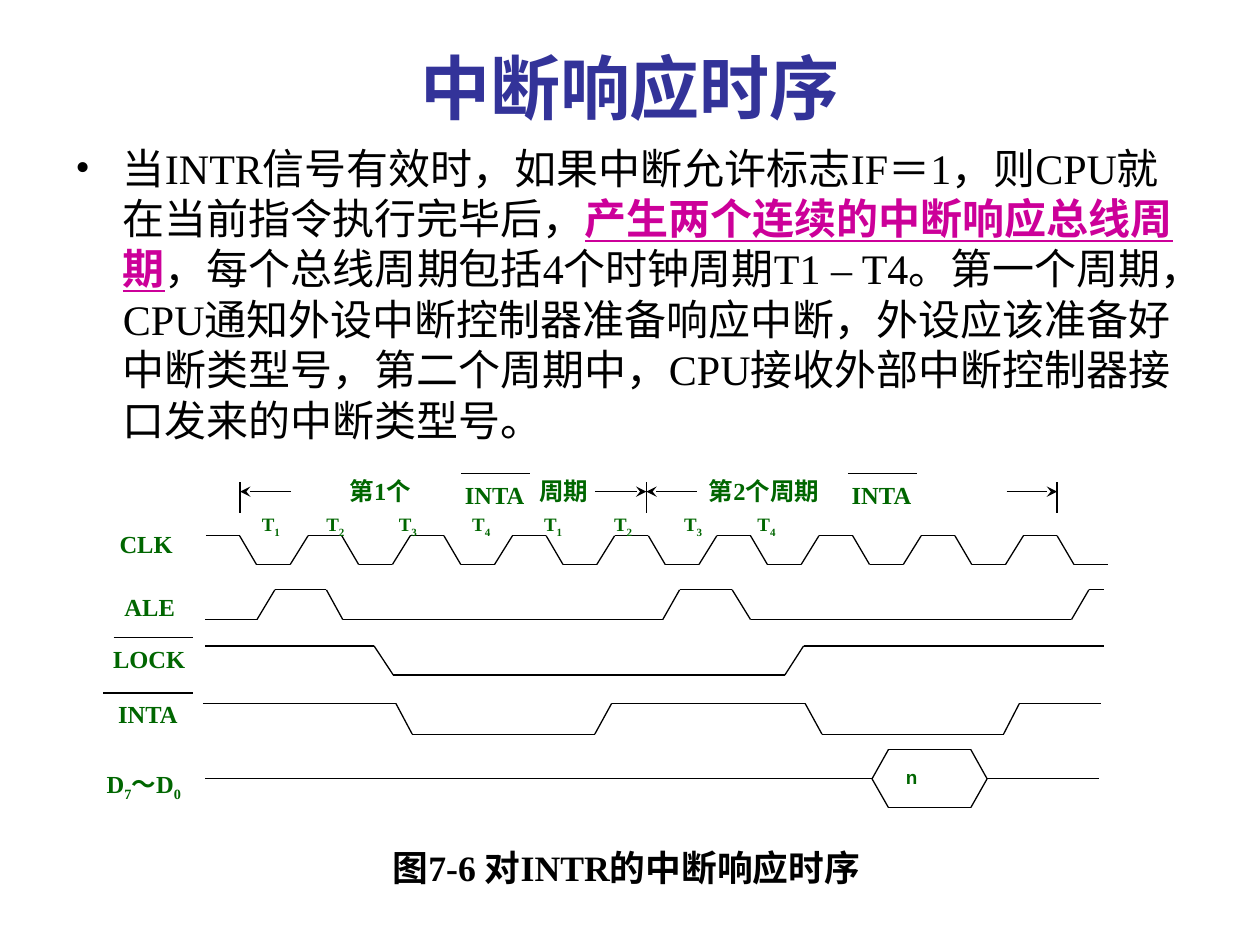
from itertools import pairwise
from pptx import Presentation
from pptx.dml.color import RGBColor
from pptx.enum.shapes import MSO_CONNECTOR
from pptx.enum.text import MSO_ANCHOR, PP_ALIGN
from pptx.oxml.ns import qn
from pptx.util import Cm, Pt
from lxml.etree import SubElement

HUES = {"ink": "000000", "title": "333399", "key": "CC0099", "label": "006600"}


def write(par, text, size=14, hue="label", bold=True, font="Times New Roman",
          under=False, sub=False):
    run = par.add_run()
    run.text = text
    run.font.size = Pt(size)
    run.font.name = font
    run.font.bold = bold
    run.font.underline = under
    run.font.color.rgb = RGBColor.from_string(HUES[hue])
    if sub:
        run.font._element.set("baseline", "-25000")


class Sheet:
    def __init__(self, deck):
        self.slide = deck.slides.add_slide(deck.slide_layouts[6])
        self.font = "Times New Roman"
        self.width = Pt(0.75)

    def box(self, x, y, w, h, align=PP_ALIGN.LEFT, space=None, hang=0,
            bullet=None, anchor=MSO_ANCHOR.TOP):
        """Add a text box and return its empty first paragraph."""
        frame = self.slide.shapes.add_textbox(Cm(x), Cm(y), Cm(w), Cm(h)).text_frame
        frame.word_wrap = True
        frame.vertical_anchor = anchor
        par = frame.paragraphs[0]
        par.alignment = align
        if space:
            par.line_spacing = space
        if bullet:
            props = par._p.get_or_add_pPr()
            props.set("marL", str(Cm(hang)))
            props.set("indent", str(Cm(-hang)))
            SubElement(props, qn("a:buFont"), typeface=self.font)
            SubElement(props, qn("a:buChar"), char=bullet)
        return par

    def label(self, text, x, y, w=2.97, h=1.17):
        write(self.box(x, y, w, h), text)

    def line(self, start, end, arrow=False):
        link = self.slide.shapes.add_connector(
            MSO_CONNECTOR.STRAIGHT, *(Cm(v) for v in (*start, *end)))
        link.line.width = self.width
        link.line.color.rgb = RGBColor.from_string(HUES["ink"])
        if arrow:
            SubElement(link.line._get_or_add_ln(), qn("a:tailEnd"), type="stealth")
        SubElement(link._element.spPr, qn("a:effectLst"))

    def chain(self, points):
        for start, end in pairwise(points):
            self.line(start, end)

    def wave(self, xs, levels):
        """Draw a signal that changes level after every second x."""
        self.chain([(x, levels[i // 2 % 2]) for i, x in enumerate(xs)])


def prose(sheet):
    par = sheet.box(1.27, 0.76, 22.86, 1.98, align=PP_ALIGN.CENTER,
                    anchor=MSO_ANCHOR.MIDDLE)
    write(par, "中断响应时序", size=40, hue="title")
    par = sheet.box(1.27, 2.74, 22.86, 8, hang=0.96, bullet="•")
    plain = {"size": 24, "hue": "ink", "bold": False}
    write(par, "当INTR信号有效时，如果中断允许标志IF＝1，则CPU就在当前指令执行完毕后，", **plain)
    write(par, "产生两个连续的中断响应总线周期", size=24, hue="key", under=True)
    write(par, "，每个总线周期包括4个时钟周期T1 – T4。第一个周期，CPU通知外设中断控制器准备"
          "响应中断，外设应该准备好中断类型号，第二个周期中，CPU接收外部中断控制器接口"
          "发来的中断类型号。", **plain)
    par = sheet.box(5.74, 17.02, 13.77, 1.17, align=PP_ALIGN.CENTER, space=0.9)
    write(par, "图7-6 对INTR的中断响应时序", size=20.4, hue="ink")


def waves(sheet):
    clock = [4.15 + 2.06 * n + dx for n in range(9) for dx in (0, 0.68, 1.02, 1.7)]
    sheet.wave(clock, (10.8, 11.38))
    sheet.wave([4.14, 5.18, 5.54, 6.58, 6.91, 13.36, 13.7, 14.76, 15.13,
                21.6, 21.95, 22.25], (12.49, 11.89))
    sheet.wave([4.14, 7.54, 7.93, 15.82, 16.2, 22.25], (13.02, 13.61))
    sheet.wave([4.09, 7.98, 8.31, 11.99, 12.33, 16.23, 16.57, 20.23, 20.55, 22.2],
               (14.18, 14.8))
    mid, top, low = 15.7, 15.11, 16.28
    left, right = (17.58, mid), (19.9, mid)
    sheet.chain([left, (17.91, top), (19.57, top), right,
                 (19.57, low), (17.91, low), left])
    sheet.line((4.14, mid), left)
    sheet.line(right, (22.15, mid))


def spans(sheet):
    for x in (4.84, 13.03, 21.31):
        sheet.line((x, 9.72), (x, 10.35))
    for tail, head in ((5.87, 4.84), (11.99, 13.03), (14.05, 13.03), (20.29, 21.31)):
        sheet.line((tail, 9.91), (head, 9.91), arrow=True)
    for x, end, y in ((2.29, 3.89, 12.85), (2.08, 3.89, 13.97),
                      (9.3, 10.69, 9.55), (17.09, 18.49, 9.55)):
        sheet.line((x, y), (end, y))


def labels(sheet):
    for text, x, y in (("CLK", 2.16, 10.54), ("ALE", 2.26, 11.81),
                       ("LOCK", 2.03, 12.85), ("INTA", 2.13, 13.97),
                       ("第1个", 6.8, 9.47), ("INTA", 9.12, 9.55),
                       ("周期", 10.62, 9.47), ("第2个周期", 14.04, 9.47),
                       ("INTA", 16.92, 9.55)):
        sheet.label(text, x, y, w=3.2)
    par = sheet.box(1.9, 15.37, 3.4, 1.17)
    for text, sub in (("D", False), ("7", True), ("～D", False), ("0", True)):
        write(par, text, sub=sub)
    starts = (5.03, 6.33, 7.79, 9.27, 10.72, 12.13, 13.54, 15.02)
    for x, digit in zip(starts, "12341234"):
        par = sheet.box(x, 10.26, 1.3, 0.8, space=0.8)
        write(par, "T", size=10.8)
        write(par, digit, size=10.8, sub=True)
    write(sheet.box(18.01, 15.3, 1.2, 0.85), "n", size=10.8, font="Arial")


def main():
    deck = Presentation()
    deck.slide_width, deck.slide_height = Cm(25.4), Cm(19.05)
    sheet = Sheet(deck)
    for part in (prose, waves, spans, labels):
        part(sheet)
    deck.save("out.pptx")


if __name__ == "__main__":
    main()
